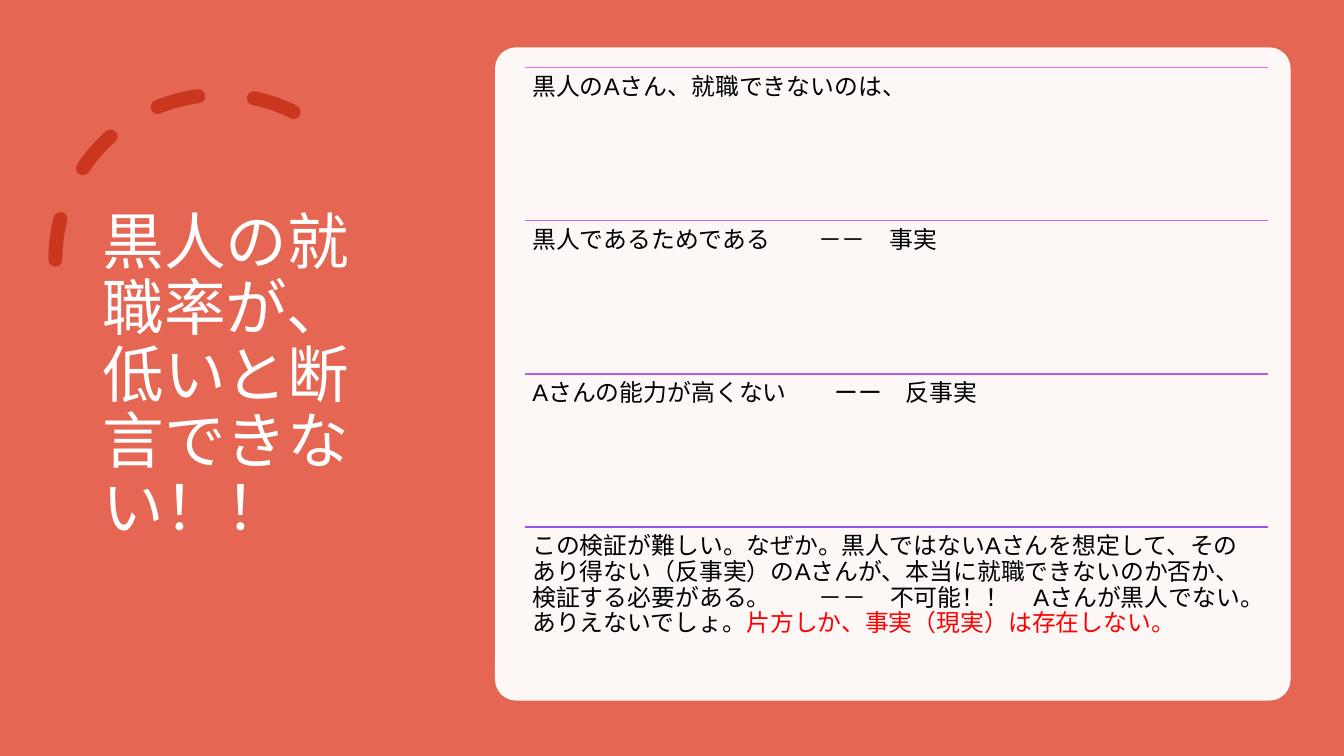
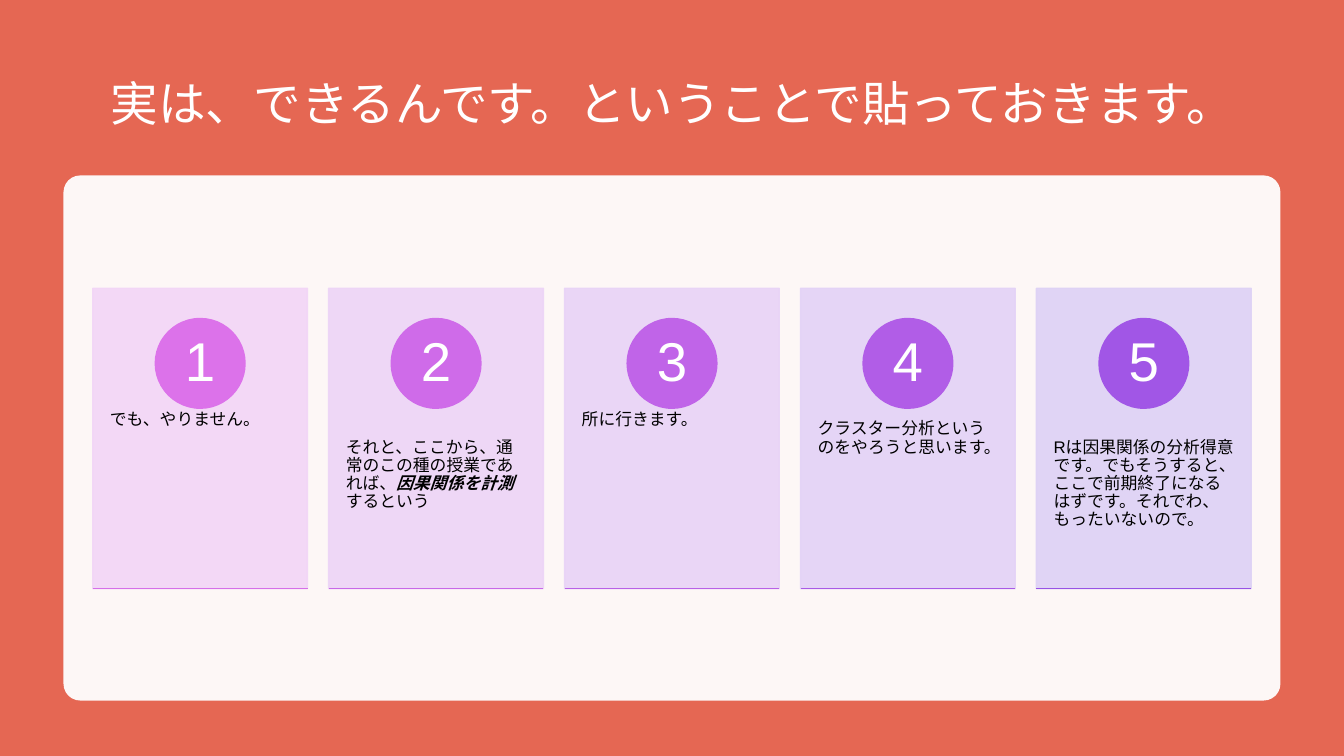
"""Build two slides on counterfactuals: a ruled list and five numbered cards."""
from lxml.etree import SubElement
from pptx import Presentation
from pptx.dml.color import RGBColor
from pptx.enum.dml import MSO_LINE
from pptx.enum.shapes import MSO_CONNECTOR, MSO_SHAPE as SHAPE
from pptx.enum.text import MSO_ANCHOR as ANCHOR, PP_ALIGN as ALIGN
from pptx.oxml.ns import qn
from pptx.util import Inches, Pt

COLOURS = {
    "ground": "E56753",
    "white": "FFFFFF",
    "black": "000000",
    "red": "FF0000",
    "arc": "CB361F",
}
TITLE_FONT, BODY_FONT = "Calibri", "Arial"


def add_block(page, kind, box, colour, opacity=100, outline=1):
    block = page.shapes.add_shape(kind, *map(Inches, box))
    block.shadow.inherit = False
    block.fill.solid()
    block.fill.fore_color.rgb = RGBColor.from_string(colour)
    if outline:
        block.line.color.rgb = RGBColor.from_string(colour)
        block.line.width = Pt(outline)
    else:
        block.line.fill.background()
    if opacity < 100:
        for tint in list(block._element.spPr.iter(qn("a:srgbClr"))):
            SubElement(tint, qn("a:alpha")).set("val", str(opacity * 1000))
    return block


def add_text(page, box, spans, size, font=BODY_FONT, colour="black",
             insets=(0.1, 0.05), anchor=ANCHOR.TOP, align=ALIGN.LEFT):
    frame = page.shapes.add_textbox(*map(Inches, box)).text_frame
    frame.word_wrap = True
    frame.vertical_anchor = anchor
    frame.margin_left = frame.margin_right = Inches(insets[0])
    frame.margin_top = frame.margin_bottom = Inches(insets[1])
    para = frame.paragraphs[0]
    para.alignment = align
    para.line_spacing = 0.9
    for text, style in spans:
        span = para.add_run()
        span.text = text
        span.font.size = Pt(size)
        span.font.name = font
        span.font.color.rgb = RGBColor.from_string(COLOURS[style.get("colour", colour)])
        if style.get("strong"):
            span.font.bold = span.font.italic = True


deck = Presentation()
deck.slide_width, deck.slide_height = Inches(13.33), Inches(7.5)

frames = [
    ("黒人の就職率が、低いと断言できない！！", (0.92, 0.7, 3.23, 6.09), 44, ALIGN.LEFT,
     (4.91, 0.47, 7.89, 6.48)),
    ("実は、できるんです。ということで貼っておきます。", (0.92, 0.5, 11.5, 1.1), 34, ALIGN.CENTER,
     (0.63, 1.74, 12.07, 5.21)),
]
pages = []
for title, title_box, size, align, panel_box in frames:
    page = deck.slides.add_slide(deck.slide_layouts[6])
    page.background.fill.solid()
    page.background.fill.fore_color.rgb = RGBColor.from_string(COLOURS["ground"])
    add_text(page, title_box, [(title, {})], size, TITLE_FONT, "white",
             anchor=ANCHOR.MIDDLE, align=align)
    panel = add_block(page, SHAPE.ROUNDED_RECTANGLE, panel_box, COLOURS["white"], 95, 0)
    panel.adjustments[0] = 0.032
    pages.append(page)
list_page, card_page = pages

arc = list_page.shapes.add_shape(SHAPE.ARC, Inches(0.55), Inches(0.94), Inches(3.27), Inches(3.27))
arc.shadow.inherit = False
arc.adjustments[0], arc.adjustments[1] = 146.13, 0
arc.fill.background()
arc.line.color.rgb = RGBColor.from_string(COLOURS["arc"])
arc.line.width = Pt(10)
arc.line.dash_style = MSO_LINE.DASH
arc._element.spPr.find(qn("a:ln")).set("cap", "rnd")
arc._element.spPr.find(qn("a:xfrm")).set("flipH", "1")

rules = []

rows = [
    ("DC72EA", [("黒人のAさん、就職できないのは、", {})]),
    ("C868E8", [("黒人であるためである　　－－　事実", {})]),
    ("B15DE7", [("Aさんの能力が高くない　　ーー　反事実", {})]),
    ("9853E5", [
        ("この検証が難しい。なぜか。黒人ではないAさんを想定して、そのあり得ない（反事実）の"
         "Aさんが、本当に就職できないのか否か、検証する必要がある。　　－－　不可能！！　"
         "Aさんが黒人でない。ありえないでしょ。", {}),
        ("片方しか、事実（現実）は存在しない。", {"colour": "red"}),
    ]),
]
row_left, row_width, row_height = 5.21, 7.37, 1.52
for index, (colour, spans) in enumerate(rows):
    top = 0.67 + index * row_height
    rules.append((list_page, row_left, top, row_width, colour))
    add_text(list_page, (row_left, top, row_width, row_height), spans, 17, insets=(0.07, 0.07))

cards = [
    ("F2D5F7", "DC72EA", "D66FE9", [("でも、やりません。", {})]),
    ("EDD4F6", "CF6BE9", "C868E8", [
        ("それと、ここから、通常のこの種の授業であれば、", {}),
        ("因果関係を計測", {"strong": True}),
        ("するという", {}),
    ]),
    ("E8D3F6", "C064E8", "B961E7", [("所に行きます。", {})]),
    ("E3D2F6", "B15DE7", "A95AE6", [("クラスター分析というのをやろうと思います。", {})]),
    ("DDD1F5", "A156E6", "9853E5", [
        ("Rは因果関係の分析得意です。でもそうすると、ここで前期終了になるはずです。"
         "それでわ、もったいないので。", {}),
    ]),
]
card_width, card_pitch = 2.13, 2.34
for index, (card_colour, disc_colour, rule_colour, spans) in enumerate(cards):
    left = 0.92 + index * card_pitch
    add_block(card_page, SHAPE.RECTANGLE, (left, 2.86, card_width, 2.98), card_colour, 90)
    add_text(card_page, (left, 3.99, card_width, 1.79), spans, 12, insets=(0.17, 0.36))
    add_block(card_page, SHAPE.OVAL, (left + 0.62, 3.16, 0.89, 0.89), disc_colour)
    add_text(card_page, (left + 0.75, 3.29, 0.63, 0.63), [(str(index + 1), {})], 39,
             colour="white", insets=(0.07, 0.01), anchor=ANCHOR.MIDDLE, align=ALIGN.CENTER)
    rules.append((card_page, left, 5.84, card_width, rule_colour))

for page, left, top, width, colour in rules:
    rule = page.shapes.add_connector(MSO_CONNECTOR.STRAIGHT, Inches(left), Inches(top),
                                     Inches(left + width), Inches(top))
    rule.line.color.rgb = RGBColor.from_string(colour)
    rule.line.width = Pt(1)
    SubElement(rule._element.spPr, qn("a:effectLst"))

deck.save("out.pptx")
